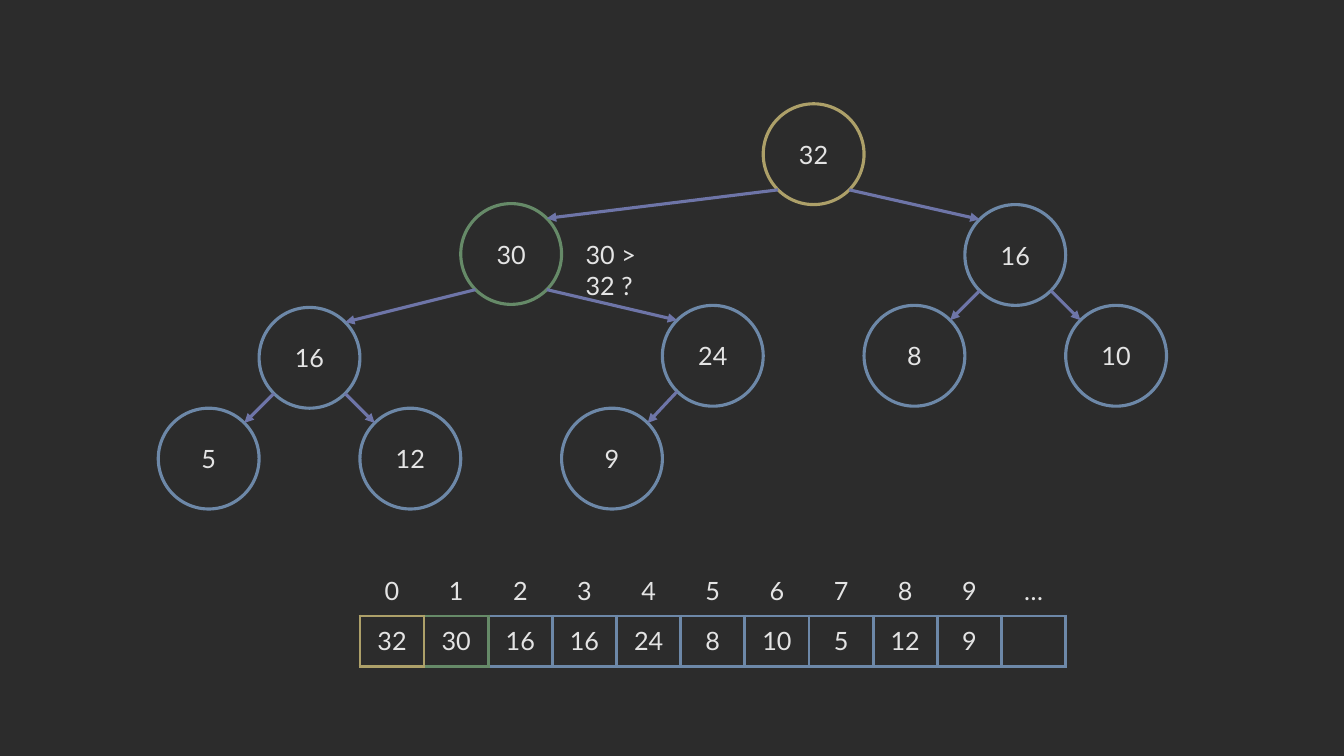
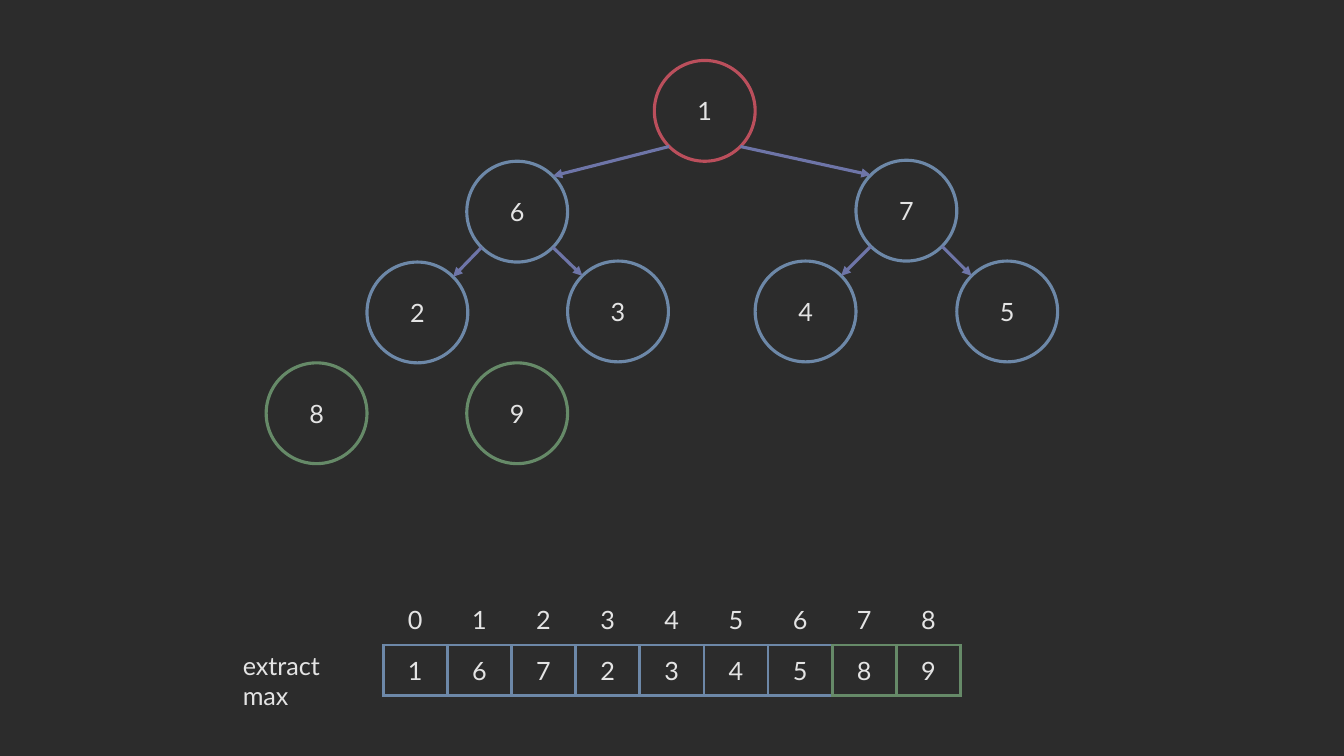
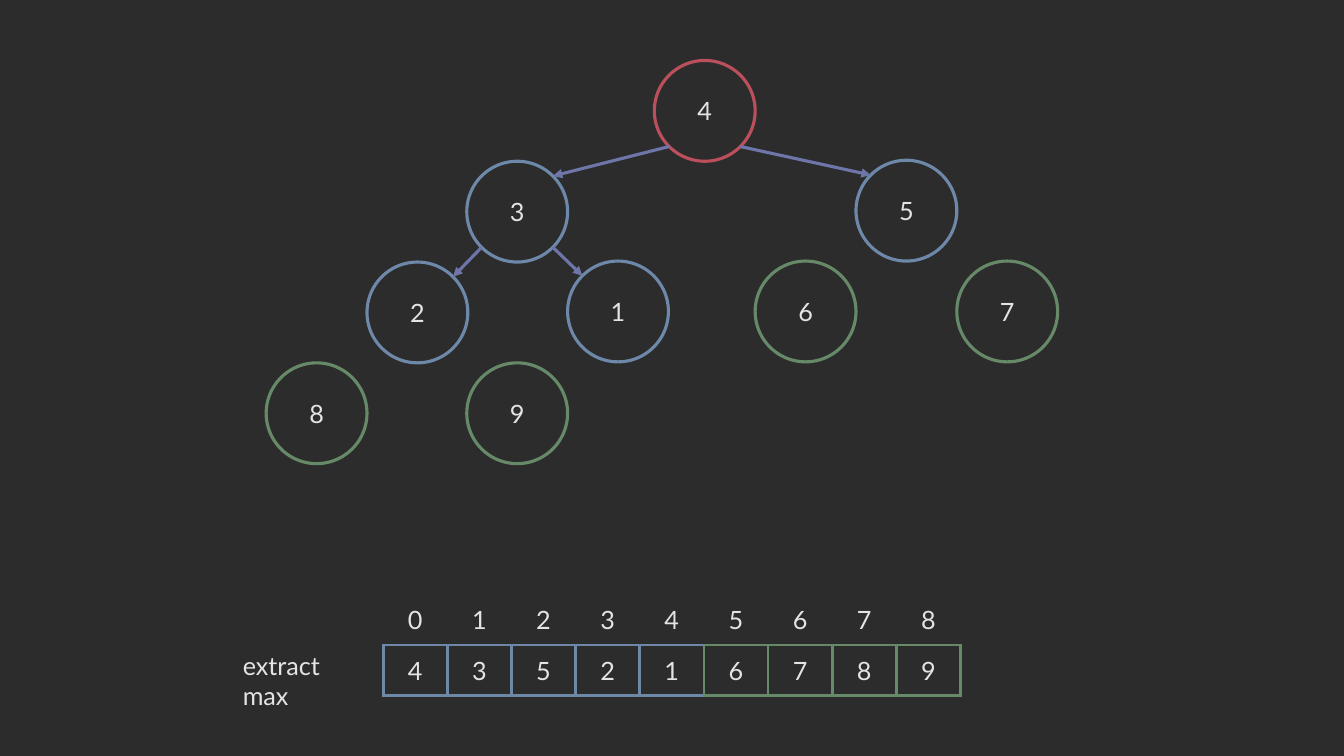
from math import sqrt

from lxml import etree
from pptx import Presentation
from pptx.dml.color import RGBColor
from pptx.enum.shapes import MSO_CONNECTOR, MSO_SHAPE
from pptx.enum.text import MSO_ANCHOR, PP_ALIGN
from pptx.oxml.ns import qn
from pptx.util import Inches, Pt

ELLIPSE, STRAIGHT = MSO_SHAPE.OVAL, MSO_CONNECTOR.STRAIGHT
MIDDLE, TOP = MSO_ANCHOR.MIDDLE, MSO_ANCHOR.TOP
CENTER, LEFT = PP_ALIGN.CENTER, PP_ALIGN.LEFT

BACKGROUND, TEXT, ARROW = "2C2C2C", "E4E4E4", "6E75A8"
BLUE, GREEN, GOLD, RED = "6D88A8", "668A68", "ADA069", "BB4F5C"
EDGE_PRIORITY = (BLUE, GREEN, GOLD)  # the later colour wins a shared cell edge
LINE_WIDTH = Pt(2.25)
FONT = {"name": "Lato", "size": Pt(18)}
NO_GRID_STYLE = "{2D5ABB26-0587-4C30-8999-92F81FD0307C}"

DIAMETER = 1
CELL_WIDTH, ROW_HEIGHT = 7 / 11, 0.5

INSERT_TREE = [(7.57, 1.03), (4.57, 2.02), (9.57, 2.03), (2.57, 3.05), (6.57, 3.03),
               (8.57, 3.03), (10.57, 3.03), (1.57, 4.05), (3.57, 4.05), (5.57, 4.05)]
SORT_TREE = [(6.49, 0.6), (4.63, 1.6), (8.49, 1.59), (3.64, 2.6), (5.63, 2.59),
             (7.49, 2.59), (9.49, 2.59), (2.64, 3.6), (4.63, 3.6)]
SORT_LAYOUT = {"tree": SORT_TREE, "node_colors": {0: RED}, "cell_colors": {},
               "array_at": (3.8, 5.9), "spare": [],
               "label": ("extract max", 2.31, 6.4, 1.4)}

# heap_size counts the values still in the heap; the rest are sorted
SLIDES = [
    {"values": [32, 30, 16, 16, 24, 8, 10, 5, 12, 9], "heap_size": 10,
     "tree": INSERT_TREE, "node_colors": {0: GOLD, 1: GREEN},
     "cell_colors": {0: GOLD, 1: GREEN}, "array_at": (3.57, 5.61),
     "spare": [("…", "")], "label": ("30 > 32 ?", 5.71, 2.33, 1.16)},
    {"values": [1, 6, 7, 2, 3, 4, 5, 8, 9], "heap_size": 7, **SORT_LAYOUT},
    {"values": [4, 3, 5, 2, 1, 6, 7, 8, 9], "heap_size": 5, **SORT_LAYOUT},
]


def rgb(color):
    return RGBColor.from_string(color)


def write(tf, text, align, anchor):
    tf.vertical_anchor = anchor
    p = tf.paragraphs[0]
    p.alignment = align
    r = p.add_run()
    r.text = str(text)
    for name, value in FONT.items():
        setattr(r.font, name, value)
    r.font.color.rgb = rgb(TEXT)


def style_line(line, color):
    line.color.rgb = rgb(color)
    line.width = LINE_WIDTH


def add_node(s, value, position, color):
    x, y = position
    sp = s.shapes.add_shape(ELLIPSE, Inches(x), Inches(y), Inches(DIAMETER), Inches(DIAMETER))
    sp.shadow.inherit = False
    sp.fill.background()
    style_line(sp.line, color)
    tf = sp.text_frame
    for side in ("left", "top", "right", "bottom"):
        setattr(tf, f"margin_{side}", 0)
    write(tf, value, CENTER, MIDDLE)


def add_arrow(s, parent, child):
    """Join the lower diagonal of the parent circle to the upper one of the child."""
    side = 1 if child[0] > parent[0] else -1
    middle, reach = DIAMETER / 2, DIAMETER / 2 / sqrt(2)
    start = (parent[0] + middle + side * reach, parent[1] + middle + reach)
    end = (child[0] + middle - side * reach, child[1] + middle - reach)
    line = s.shapes.add_connector(STRAIGHT, *(Inches(v) for v in start + end))
    style_line(line.line, ARROW)
    etree.SubElement(line.line._get_or_add_ln(), qn("a:tailEnd"), type="triangle")
    etree.SubElement(line._element.spPr, qn("a:effectLst"))


def add_tree(s, values, tree, colors):
    for i, (value, position) in enumerate(zip(values, tree)):
        add_node(s, value, position, colors[i])


def add_arrows(s, tree, heap_size):
    for i in range(1, heap_size):
        add_arrow(s, tree[(i - 1) // 2], tree[i])


def set_borders(cell, borders):
    tc_pr = cell._tc.get_or_add_tcPr()
    for side in "LRTB":
        if side in borders:
            ln = etree.SubElement(tc_pr, qn(f"a:ln{side}"), w=str(LINE_WIDTH))
            fill = etree.SubElement(ln, qn("a:solidFill"))
            etree.SubElement(fill, qn("a:srgbClr"), val=borders[side])


def add_array(s, columns, colors, position):
    """Draw the indexes above a row of boxed values."""
    x, y = position
    frame = s.shapes.add_table(2, len(columns), Inches(x), Inches(y),
                               Inches(CELL_WIDTH * len(columns)), Inches(2 * ROW_HEIGHT))
    table = frame.table
    table.first_row = table.horz_banding = False
    table._tbl.tblPr.find(qn("a:tableStyleId")).text = NO_GRID_STYLE
    for row in table.rows:
        row.height = Inches(ROW_HEIGHT)
    edges = [max(pair, key=EDGE_PRIORITY.index)
             for pair in zip(colors[:1] + colors, colors + colors[-1:])]
    for i, texts in enumerate(columns):
        table.columns[i].width = Inches(CELL_WIDTH)
        color = colors[i]
        box = {"L": edges[i], "R": edges[i + 1], "T": color, "B": color}
        for row, (text, borders) in enumerate(zip(texts, ({"B": color}, box))):
            cell = table.cell(row, i)
            set_borders(cell, borders)
            cell.fill.background()
            cell.vertical_anchor = MIDDLE
            write(cell.text_frame, text, CENTER, MIDDLE)


def add_label(s, text, x, y, width):
    tf = s.shapes.add_textbox(Inches(x), Inches(y), Inches(width), Inches(0.4)).text_frame
    tf.word_wrap = True
    write(tf, text, LEFT, TOP)


def add_heap_slide(prs, heap):
    s = prs.slides.add_slide(prs.slide_layouts[6])
    values, size = heap["values"], heap["heap_size"]
    columns = list(enumerate(values)) + heap["spare"]
    base = [BLUE if i < size or i >= len(values) else GREEN for i in range(len(columns))]
    node_colors, cell_colors = ([heap[key].get(i, c) for i, c in enumerate(base)]
                                for key in ("node_colors", "cell_colors"))
    add_tree(s, values, heap["tree"], node_colors)
    add_arrows(s, heap["tree"], size)
    add_array(s, columns, cell_colors, heap["array_at"])
    add_label(s, *heap["label"])


def main():
    prs = Presentation()
    prs.slide_width, prs.slide_height = Inches(13.33), Inches(7.5)
    fill = prs.slide_master.background.fill
    fill.solid()
    fill.fore_color.rgb = rgb(BACKGROUND)
    for heap in SLIDES:
        add_heap_slide(prs, heap)
    prs.save("out.pptx")


if __name__ == "__main__":
    main()
